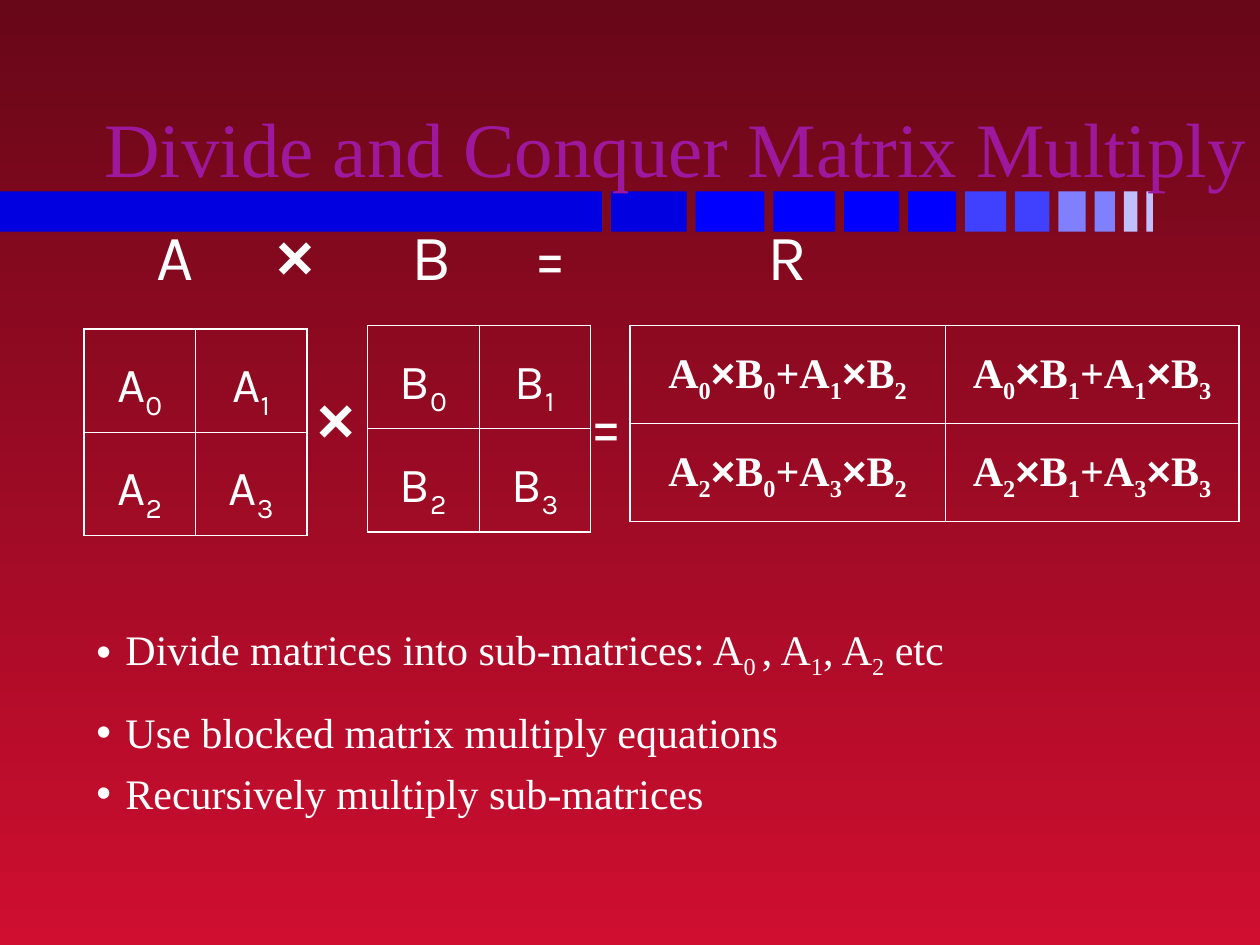
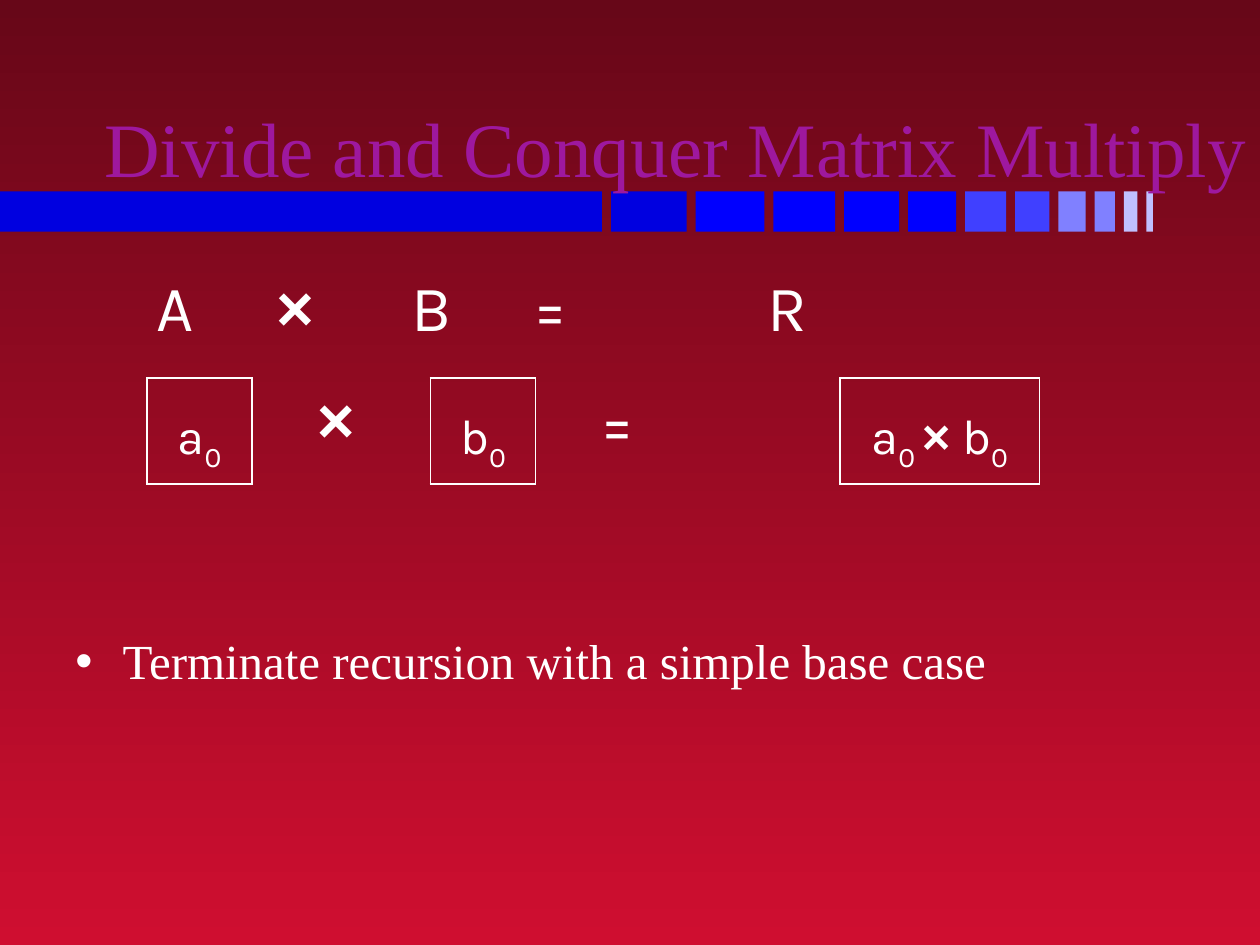
"""Build two slides on divide and conquer matrix multiplication."""
from dataclasses import dataclass
from itertools import groupby

from lxml import etree
from pptx import Presentation
from pptx import util as u
from pptx.dml import color
from pptx.enum import shapes, text
from pptx.oxml import ns

Pt = u.Pt
COLOURS = {
    "top": "670718", "bottom": "CF0E30", "title": "9E189E", "text": "FFFFFF",
    "navy": "0000E0", "blue": "0000FF", "mid": "4040FF", "light": "8080FF", "pale": "C0C0FF",
}
SERIF, SANS, SYMBOL = "Times New Roman", "Karla", "Arial"
BAND_COLOURS = ["navy"] * 2 + ["blue"] * 4 + ["mid"] * 2 + ["light"] * 2 + ["pale"] * 2
OUTER_LINE, INNER_LINE = 1.08, 0.45
FORMULA_TABS = (44.8, 113.4, 191.7, 259.7, 395)


@dataclass(frozen=True)
class Style:
    size: float
    font: str
    bold: bool = False


@dataclass(frozen=True)
class Label:
    markup: str
    left: float
    top: float
    width: float
    height: float
    spacing: float


@dataclass(frozen=True)
class Matrix:
    left: float
    top: float
    columns: tuple[float, ...]
    row_height: float
    rows: tuple[tuple[str, ...], ...]
    style: Style
    spacing: float = 1.35


@dataclass(frozen=True)
class Bullets:
    left: float
    top: float
    width: float
    height: float
    indent: float
    size: float
    items: tuple[tuple[str, float], ...]


FORMULA = Style(37, SANS)
ENTRY = Style(28, SANS)
PRODUCT = Style(24, SERIF, True)


def rgb(name: str) -> color.RGBColor:
    """Return a named colour."""
    return color.RGBColor.from_string(COLOURS[name])


def add_spans(para, markup: str, style: Style) -> None:
    """Write text whose subscripts stand between bars, with a bold symbol for ×."""
    for index, piece in enumerate(markup.split("|")):
        for is_times, letters in groupby(piece, lambda letter: letter == "×"):
            span = para.add_run()
            span.text = "".join(letters)
            span.font.size = Pt(style.size)
            span.font.name = SYMBOL if is_times else style.font
            span.font.bold = style.bold or is_times
            span.font.color.rgb = rgb("text")
            if index % 2:
                span.font._element.set("baseline", "-25000")


def add_box(slide, left: float, top: float, width: float, height: float):
    """Add a wrapping text box and return its frame."""
    box = slide.shapes.add_textbox(Pt(left), Pt(top), Pt(width), Pt(height))
    box.text_frame.word_wrap = True
    return box.text_frame


def add_label(slide, label: Label) -> None:
    """Add one line of formula text."""
    frame = add_box(slide, label.left, label.top, label.width, label.height)
    para = frame.paragraphs[0]
    para.line_spacing = label.spacing
    if "\t" in label.markup:
        stops = etree.SubElement(para._p.get_or_add_pPr(), ns.qn("a:tabLst"))
        for position in FORMULA_TABS:
            etree.SubElement(stops, ns.qn("a:tab"), pos=str(Pt(position)), algn="ctr")
    add_spans(para, label.markup, FORMULA)


def add_borders(cell, widths: dict[str, float]) -> None:
    """Draw the four borders of a cell."""
    properties = cell._tc.get_or_add_tcPr()
    for index, (side, width) in enumerate(widths.items()):
        line = etree.Element(ns.qn(f"a:{side}"), w=str(Pt(width)))
        fill = etree.SubElement(line, ns.qn("a:solidFill"))
        etree.SubElement(fill, ns.qn("a:srgbClr"), val=COLOURS["text"])
        properties.insert(index, line)


def add_matrix(slide, matrix: Matrix) -> None:
    """Add a matrix as a table with a heavier outer frame."""
    row_count, column_count = len(matrix.rows), len(matrix.columns)
    table = slide.shapes.add_table(
        row_count, column_count, Pt(matrix.left), Pt(matrix.top),
        Pt(sum(matrix.columns)), Pt(matrix.row_height * row_count)).table
    table.first_row = table.horz_banding = False
    for column, width in zip(table.columns, matrix.columns):
        column.width = Pt(width)
    for r, row in enumerate(matrix.rows):
        table.rows[r].height = Pt(matrix.row_height)
        for c, markup in enumerate(row):
            cell = table.cell(r, c)
            cell.fill.background()
            edges = {"lnL": c == 0, "lnR": c == column_count - 1,
                     "lnT": r == 0, "lnB": r == row_count - 1}
            add_borders(cell, {side: OUTER_LINE if outer else INNER_LINE
                               for side, outer in edges.items()})
            para = cell.text_frame.paragraphs[0]
            para.alignment = text.PP_ALIGN.CENTER
            para.line_spacing = matrix.spacing
            add_spans(para, markup, matrix.style)


def add_bullets(slide, bullets: Bullets) -> None:
    """Add a bulleted list."""
    frame = add_box(slide, bullets.left, bullets.top, bullets.width, bullets.height)
    for index, (markup, space_before) in enumerate(bullets.items):
        para = frame.add_paragraph() if index else frame.paragraphs[0]
        para.space_before = Pt(space_before)
        properties = para._p.get_or_add_pPr()
        properties.set("marL", str(Pt(bullets.indent)))
        properties.set("indent", str(-Pt(bullets.indent)))
        bullet_colour = etree.SubElement(properties, ns.qn("a:buClr"))
        etree.SubElement(bullet_colour, ns.qn("a:srgbClr"), val=COLOURS["text"])
        etree.SubElement(properties, ns.qn("a:buFont"), typeface=SYMBOL)
        etree.SubElement(properties, ns.qn("a:buChar"), char="•")
        add_spans(para, markup, Style(bullets.size, SERIF))


def style_layout(layout, slide) -> None:
    """Give the layout its gradient and its band of shrinking bars."""
    fill = layout.background.fill
    fill.gradient()
    fill.gradient_angle = 270
    for stop, name in zip(fill.gradient_stops, ("top", "bottom")):
        stop.color.rgb = rgb(name)
    left, gap = 0, 5.17
    for index, name in enumerate(BAND_COLOURS):
        width = 43.2 - 3.95 * (index - 1) if index else 344
        bar = slide.shapes.add_shape(
            shapes.MSO_SHAPE.RECTANGLE, Pt(left), Pt(109.4), Pt(width), Pt(23))
        bar.shadow.inherit = False
        bar.fill.solid()
        bar.fill.fore_color.rgb = rgb(name)
        bar.line.fill.background()
        bar._element.nvSpPr.cNvPr.set("id", str(20 + index))
        layout.shapes._spTree.append(bar._element)
        left += width + gap


def set_title(slide, left: float) -> None:
    """Place and format the title."""
    title = slide.shapes.title
    title.left, title.top = Pt(left), Pt(24)
    title.width, title.height = Pt(720 - left), Pt(90)
    frame = title.text_frame
    frame.text = "Divide and Conquer Matrix Multiply"
    frame.auto_size = text.MSO_AUTO_SIZE.NONE
    frame.vertical_anchor = text.MSO_ANCHOR.BOTTOM
    para = frame.paragraphs[0]
    para.alignment = text.PP_ALIGN.RIGHT
    font = para.runs[0].font
    font.size, font.name, font.color.rgb = Pt(44), SERIF, rgb("title")


def formula_labels(heading_top: float, equals_left: float, equals_top: float) -> list[Label]:
    """Return the heading formula and the operators between the matrices."""
    return [
        Label("\tA\t×\tB\t=\tR", 48, heading_top, 636, 43, 0.8),
        Label("×", 174, 226.8, 35, 36, 0.65),
        Label("=", equals_left, equals_top, 35, 38, 0.7),
    ]


def entry_grid(name: str) -> tuple[tuple[str, ...], ...]:
    """Return the four sub-matrix names of a matrix."""
    return tuple(tuple(f"{name}|{2 * r + c}|" for c in range(2)) for r in range(2))


def product_grid() -> tuple[tuple[str, ...], ...]:
    """Return the blocked product of the two matrices."""
    return tuple(tuple(f"A|{2 * r}|×B|{c}|+A|{2 * r + 1}|×B|{c + 2}|" for c in range(2))
                 for r in range(2))


def add_content(slide, title_left: float, labels: list[Label],
                matrices: list[Matrix], bullets: Bullets) -> None:
    """Fill one slide."""
    set_title(slide, title_left)
    for matrix in matrices:
        add_matrix(slide, matrix)
    for label in labels:
        add_label(slide, label)
    add_bullets(slide, bullets)


def main() -> None:
    """Build and save the deck."""
    deck = Presentation()
    deck.slide_width, deck.slide_height = Pt(720), Pt(540)
    layout = deck.slide_layouts[5]
    blocked, base_case = (deck.slides.add_slide(layout) for _ in range(2))
    style_layout(layout, blocked)

    add_content(
        blocked, 30, formula_labels(128.4, 330, 228),
        [Matrix(48, 188, (63.7, 63.7), 59, entry_grid("A"), ENTRY),
         Matrix(210, 186, (63.7, 63.7), 59, entry_grid("B"), ENTRY),
         Matrix(360, 186, (180, 168), 56, product_grid(), PRODUCT)],
        Bullets(48, 352.7, 660, 160, 16.6, 24, (
            ("Divide matrices into sub-matrices: A|0 |, A|1|, A|2| etc", 0),
            ("Use blocked matrix multiply equations", 15),
            ("Recursively multiply sub-matrices", 6))))

    add_content(
        base_case, 36, formula_labels(157.2, 336, 226.8),
        [Matrix(left, 216, (width,), 60.5, ((markup,),), ENTRY, 1.4)
         for left, width, markup in ((84, 60, "a|0|"), (246, 60, "b|0|"),
                                     (480, 114, "a|0 |× b|0|"))],
        Bullets(36, 357, 654, 108, 27, 28,
                (("Terminate recursion with a simple base case", 0),)))

    deck.save("out.pptx")


if __name__ == "__main__":
    main()
